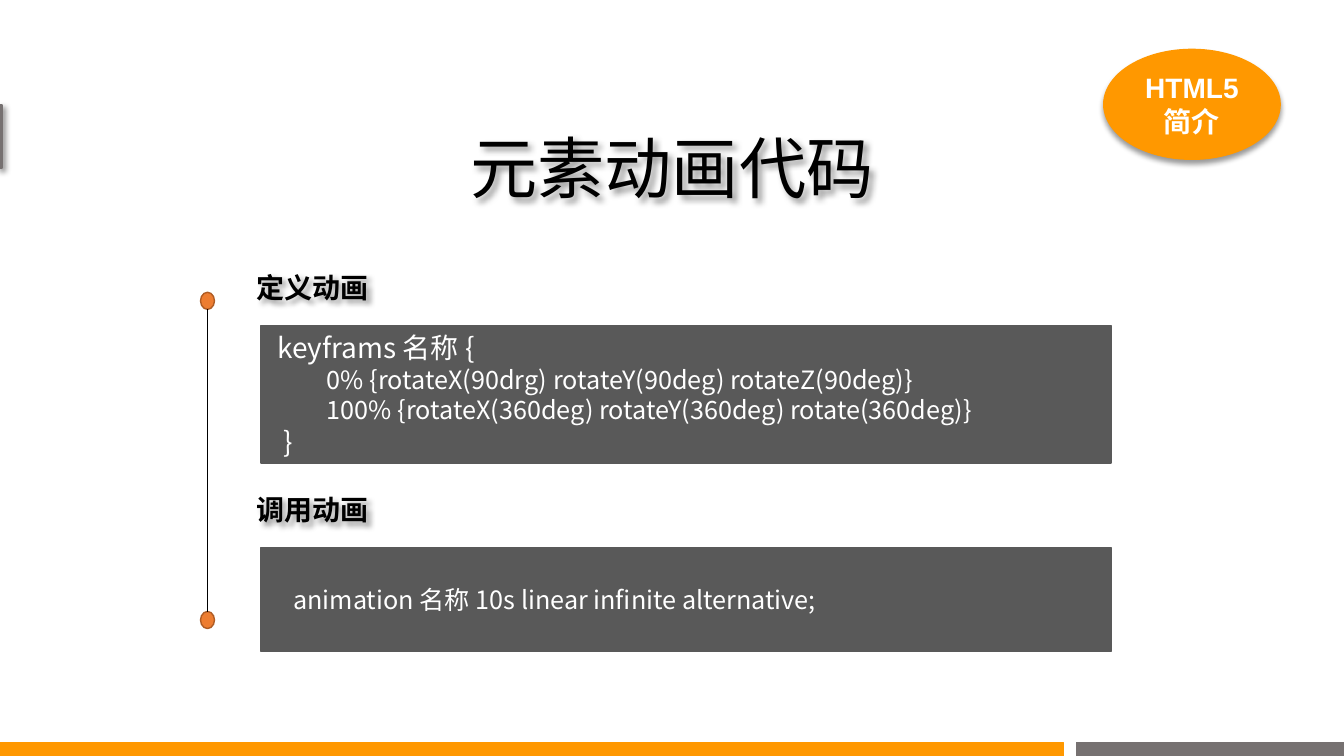
from dataclasses import dataclass

from lxml import etree
from pptx import Presentation
from pptx.dml.color import RGBColor
from pptx.enum.shapes import MSO_CONNECTOR, MSO_SHAPE
from pptx.enum.text import MSO_ANCHOR, PP_ALIGN
from pptx.oxml.ns import qn
from pptx.util import Pt

RECTANGLE, OVAL = MSO_SHAPE.RECTANGLE, MSO_SHAPE.OVAL
STRAIGHT = MSO_CONNECTOR.STRAIGHT
TOP, MIDDLE, BOTTOM = MSO_ANCHOR.TOP, MSO_ANCHOR.MIDDLE, MSO_ANCHOR.BOTTOM
LEFT, CENTER = PP_ALIGN.LEFT, PP_ALIGN.CENTER


@dataclass(frozen=True)
class Theme:
    black: str = "000000"
    white: str = "FFFFFF"
    orange: str = "FF9800"
    gray: str = "767171"
    panel: str = "595959"
    dot: str = "ED7D31"
    dot_edge: str = "AF5C24"
    font: str = "Noto Sans CJK SC"
    badge_font: str = "Arial"
    title_size: int = 48
    heading_size: int = 20
    code_size: int = 18


THEME = Theme()


def add_shadow(shape, angle):
    """Give the shape a soft shadow falling at the angle in degrees."""
    effects = shape._element.spPr.find(qn("a:effectLst"))
    shadow = etree.SubElement(
        effects, qn("a:outerShdw"), blurRad=str(Pt(4)), dist=str(Pt(3)),
        dir=str(angle * 60000), algn="ctr", rotWithShape="0")
    color = etree.SubElement(shadow, qn("a:srgbClr"), val=THEME.black)
    etree.SubElement(color, qn("a:alpha"), val="40000")


def add_block(slide, kind, box, fill, edge=None, shadow_angle=None):
    shape = slide.shapes.add_shape(kind, *map(Pt, box))
    shape.fill.solid()
    shape.fill.fore_color.rgb = RGBColor.from_string(fill)
    shape.line.color.rgb = RGBColor.from_string(edge or fill)
    shape.line.width = Pt(1)
    shape.shadow.inherit = False
    if shadow_angle is not None:
        add_shadow(shape, shadow_angle)
    return shape


def write_paragraph(paragraph, text, size, color, font=THEME.font,
                    bold=False, align=LEFT, indent=0):
    paragraph.text = text
    paragraph.alignment = align
    paragraph.font.size = Pt(size)
    paragraph.font.bold = bold
    paragraph.font.name = font
    paragraph.font.color.rgb = RGBColor.from_string(color)
    # East Asian characters take their own typeface
    properties = paragraph._p.get_or_add_pPr()
    etree.SubElement(properties.find(qn("a:defRPr")), qn("a:ea"),
                     typeface=THEME.font)
    properties.set("marL", str(Pt(indent)))
    properties.set("indent", "0")


def add_label(slide, box, text, size, anchor=TOP, **style):
    shape = slide.shapes.add_textbox(*map(Pt, box))
    frame = shape.text_frame
    frame.word_wrap = True
    frame.vertical_anchor = anchor
    write_paragraph(frame.paragraphs[0], text, size, THEME.black, **style)
    shape.shadow.inherit = False
    add_shadow(shape, 45)
    return shape


def add_code_panel(slide, top, height, lines):
    """Lines are (text, size, indent) tuples."""
    panel = add_block(slide, RECTANGLE, (186.5, top, 607, height), THEME.panel)
    frame = panel.text_frame
    frame.word_wrap = True
    frame.vertical_anchor = MIDDLE
    for index, (text, size, indent) in enumerate(lines):
        paragraph = frame.add_paragraph() if index else frame.paragraphs[0]
        write_paragraph(paragraph, text, size, THEME.white, indent=indent)


def add_badge(slide, text):
    badge = add_block(slide, OVAL, (788.4, 35.3, 126, 78.5), THEME.orange,
                      shadow_angle=90)
    badge.text_frame.word_wrap = True
    badge.text_frame.vertical_anchor = MIDDLE
    write_paragraph(badge.text_frame.paragraphs[0], text, THEME.heading_size,
                    THEME.white, font=THEME.badge_font, bold=True,
                    align=CENTER)


def add_timeline(slide, center, first_top, last_top):
    width, height = 10, 12.2
    for top in (first_top, last_top):
        add_block(slide, OVAL, (center - width / 2, top, width, height),
                  THEME.dot, THEME.dot_edge)
    line = slide.shapes.add_connector(
        STRAIGHT, Pt(center), Pt(first_top + height), Pt(center), Pt(last_top))
    line.line.color.rgb = RGBColor.from_string(THEME.black)
    line.line.width = Pt(0.5)
    etree.SubElement(line._element.spPr, qn("a:effectLst"))


def main():
    presentation = Presentation()
    presentation.slide_width, presentation.slide_height = Pt(960), Pt(540)
    slide = presentation.slides.add_slide(presentation.slide_layouts[6])

    # Title and section headings
    title = add_label(slide, (96.5, 80, 767, 72), "元素动画代码",
                      THEME.title_size, BOTTOM, align=CENTER)
    title.text_frame.paragraphs[0].line_spacing = 0.9
    for top, heading in ((189.4, "定义动画"), (348.5, "调用动画")):
        add_label(slide, (176.4, top, 607, 31.5), heading,
                  THEME.heading_size, bold=True)

    # Badge, footer bars and left edge tab
    add_badge(slide, "HTML5简介")
    add_block(slide, RECTANGLE, (0, 530.6, 759.6, 9.4), THEME.orange)
    add_block(slide, RECTANGLE, (769, 530.6, 191, 9.4), THEME.gray)
    add_block(slide, RECTANGLE, (-2, 75, 3.6, 45), THEME.gray,
              shadow_angle=45)

    # Timeline and code panels
    add_timeline(slide, 148.2, 208.8, 436.8)
    add_code_panel(slide, 391, 74.2, [
        ("animation 名称 10s linear infinite alternative;",
         THEME.code_size, 16),
    ])
    add_code_panel(slide, 232.6, 98, [
        ("keyframs 名称 {", THEME.heading_size, 4.5),
        ("0% {rotateX(90drg) rotateY(90deg) rotateZ(90deg)}",
         THEME.code_size, 40),
        ("100% {rotateX(360deg) rotateY(360deg) rotate(360deg)}",
         THEME.code_size, 40),
        ("}", THEME.heading_size, 9),
    ])

    presentation.save("out.pptx")


main()
